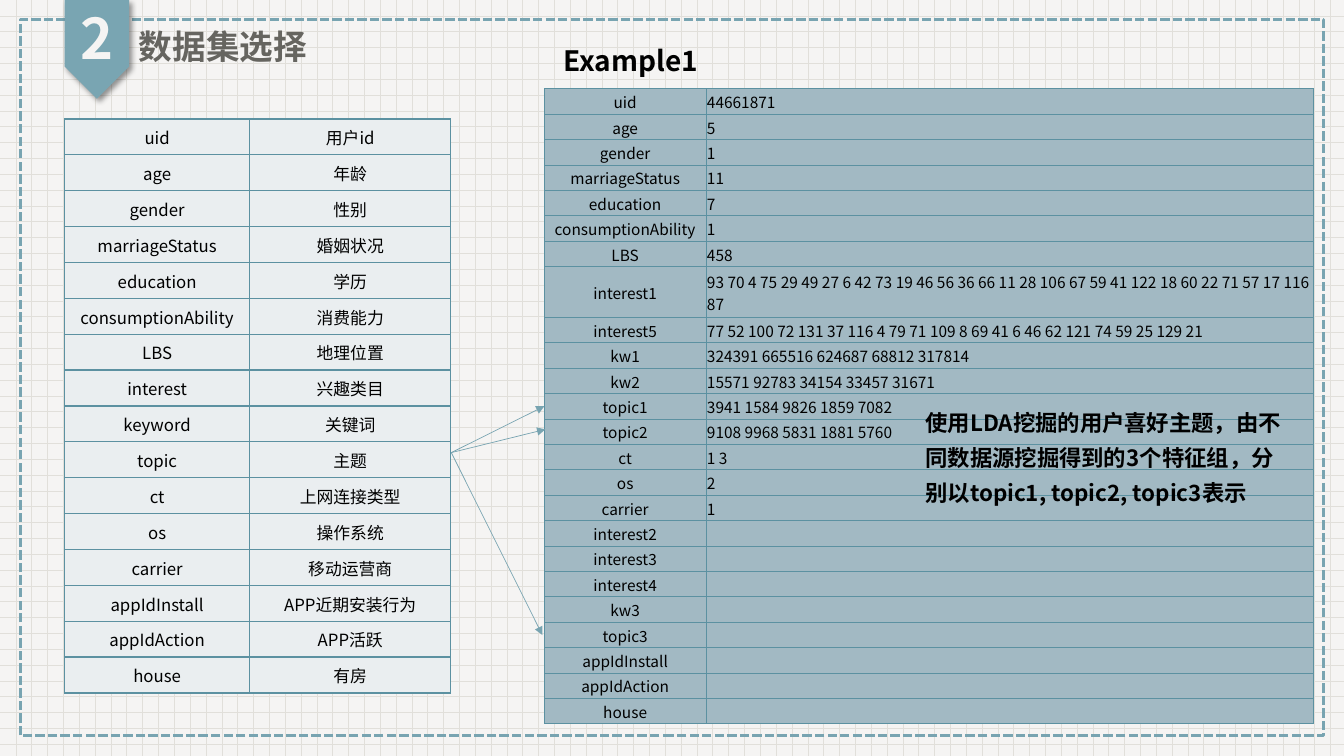
"""Build the slide that introduces the dataset fields and one example record."""
from dataclasses import dataclass
from typing import NamedTuple

from lxml.etree import SubElement
from pptx import Presentation
from pptx.dml.color import RGBColor
from pptx.enum.dml import MSO_LINE, MSO_PATTERN
from pptx.enum.shapes import MSO_CONNECTOR, MSO_SHAPE
from pptx.enum.text import MSO_ANCHOR, PP_ALIGN
from pptx.oxml.ns import qn
from pptx.shapes.autoshape import Shape
from pptx.slide import Slide
from pptx.util import Inches, Pt

SLIDE_WIDTH, SLIDE_HEIGHT = Inches(13.33), Inches(7.5)
CELL_MARGIN = Inches(0.01)


@dataclass(frozen=True)
class Theme:
    """Colours and type sizes of the slide."""
    font: str = "Noto Sans CJK SC"
    paper: str = "F5F4F3"
    grid: str = "E1DFDA"
    accent: str = "78A4B1"
    ribbon: str = "79A5B2"
    title: str = "666560"
    ink: str = "000000"
    rule: str = "5C91A1"
    field_fill: str = "EAEEF0"
    example_fill: str = "A2B9C3"
    number_size: float = 40
    title_size: float = 24
    heading_size: float = 20
    note_size: float = 16
    field_size: float = 12
    example_size: float = 11


THEME = Theme()


class Point(NamedTuple):
    """A place in percent of the slide's width and height."""
    x: float
    y: float

    def emu(self) -> tuple[int, int]:
        """Return the place in slide units."""
        return round(SLIDE_WIDTH * self.x / 100), round(SLIDE_HEIGHT * self.y / 100)


class Area(NamedTuple):
    """A rectangle in percent of the slide's width and height."""
    x: float
    y: float
    width: float
    height: float

    def emu(self) -> tuple[int, int, int, int]:
        """Return left, top, width and height in slide units."""
        return Point(self.x, self.y).emu() + Point(self.width, self.height).emu()


@dataclass(frozen=True)
class Label:
    """A text with its place and style."""
    text: str
    area: Area
    size: float
    color: str
    line_spacing: float
    space_before: float
    align: PP_ALIGN = PP_ALIGN.LEFT
    anchor: MSO_ANCHOR = MSO_ANCHOR.MIDDLE


@dataclass(frozen=True)
class Grid:
    """A two-column table with its place and style."""
    rows: list[tuple[str, str]]
    area: Area
    first_column_share: float
    fill: str
    size: float
    rule_width: float
    value_align: PP_ALIGN
    tall_row: str = ""
    tall_row_share: float = 0


FIELDS = [
    ("uid", "用户id"), ("age", "年龄"), ("gender", "性别"),
    ("marriageStatus", "婚姻状况"), ("education", "学历"),
    ("consumptionAbility", "消费能力"), ("LBS", "地理位置"),
    ("interest", "兴趣类目"), ("keyword", "关键词"), ("topic", "主题"),
    ("ct", "上网连接类型"), ("os", "操作系统"), ("carrier", "移动运营商"),
    ("appIdInstall", "APP近期安装行为"), ("appIdAction", "APP活跃"), ("house", "有房"),
]
EXAMPLE = [
    ("uid", "44661871"), ("age", "5"), ("gender", "1"), ("marriageStatus", "11"),
    ("education", "7"), ("consumptionAbility", "1"), ("LBS", "458"),
    ("interest1", "93 70 4 75 29 49 27 6 42 73 19 46 56 36 66 11 28 106 67 59 41 "
                  "122 18 60 22 71 57 17 116 87"),
    ("interest5", "77 52 100 72 131 37 116 4 79 71 109 8 69 41 6 46 62 121 74 59 25 129 21"),
    ("kw1", "324391 665516 624687 68812 317814"),
    ("kw2", "15571 92783 34154 33457 31671"),
    ("topic1", "3941 1584 9826 1859 7082"), ("topic2", "9108 9968 5831 1881 5760"),
    ("ct", "1 3"), ("os", "2"), ("carrier", "1"),
    *((field, "") for field in ("interest2", "interest3", "interest4", "kw3", "topic3",
                                "appIdInstall", "appIdAction", "house")),
]
GRIDS = [
    Grid(FIELDS, Area(4.8, 15.73, 28.73, 76), 0.48, THEME.field_fill,
         THEME.field_size, 1, PP_ALIGN.CENTER),
    Grid(EXAMPLE, Area(40.51, 11.73, 57.24, 84), 0.21, THEME.example_fill,
         THEME.example_size, 0.5, PP_ALIGN.LEFT, "interest1", 0.08),
]
HEADER = [
    Label("2", Area(4.8, 0, 4.8, 10.93), THEME.number_size, THEME.paper, 0.9, 10,
          PP_ALIGN.CENTER),
    Label("数据集选择", Area(9.6, 3.07, 34.5, 6.8), THEME.title_size, THEME.title, 0.9, 10),
]
NOTES = [
    Label("Example1", Area(41.19, 3.73, 15.6, 6.67), THEME.heading_size, THEME.ink, 1.3, 6,
          anchor=MSO_ANCHOR.TOP),
    Label("使用LDA挖掘的用户喜好主题，由不同数据源挖掘得到的3个特征组，"
          "分别以topic1, topic2, topic3表示",
          Area(68.12, 52.4, 28.88, 15.33), THEME.note_size, THEME.ink, 1.3, 6,
          anchor=MSO_ANCHOR.TOP),
]
TOPIC_FIELD = Point(33.58, 59.87)
TOPIC_ROWS = [Point(40.51, 53.73), Point(40.58, 56.8), Point(40.36, 84)]


def rgb(color: str) -> RGBColor:
    """Turn a hex code into a colour."""
    return RGBColor.from_string(color)


def style_paragraph(paragraph, size: float, color: str, bold: bool, align: PP_ALIGN) -> None:
    """Set the font and alignment of a paragraph."""
    paragraph.alignment = align
    font = paragraph.font
    font.name, font.size, font.bold = THEME.font, Pt(size), bold
    font.color.rgb = rgb(color)
    defaults = paragraph._p.get_or_add_pPr().find(qn("a:defRPr"))
    SubElement(defaults, qn("a:ea"), typeface=THEME.font)
    if not paragraph.text:
        SubElement(paragraph._p, qn("a:endParaRPr"), sz=str(round(size * 100)))


def draw_label(slide: Slide, label: Label) -> None:
    """Draw a bold text."""
    frame = slide.shapes.add_textbox(*label.area.emu()).text_frame
    frame.word_wrap = True
    frame.vertical_anchor = label.anchor
    frame.text = label.text
    paragraph = frame.paragraphs[0]
    paragraph.line_spacing = label.line_spacing
    paragraph.space_before = Pt(label.space_before)
    style_paragraph(paragraph, label.size, label.color, True, label.align)


def draw_cell(cell, text: str, grid: Grid, align: PP_ALIGN) -> None:
    """Fill one table cell and rule its four sides."""
    cell.text = text
    cell.vertical_anchor = MSO_ANCHOR.MIDDLE
    cell.margin_left = cell.margin_right = cell.margin_top = CELL_MARGIN
    cell.margin_bottom = 0
    style_paragraph(cell.text_frame.paragraphs[0], grid.size, THEME.ink, False, align)
    properties = cell._tc.get_or_add_tcPr()
    for side in ("a:lnL", "a:lnR", "a:lnT", "a:lnB"):
        line = SubElement(properties, qn(side), w=str(Pt(grid.rule_width)))
        SubElement(SubElement(line, qn("a:solidFill")), qn("a:srgbClr"), val=THEME.rule)
    cell.fill.solid()
    cell.fill.fore_color.rgb = rgb(grid.fill)


def draw_grid(slide: Slide, grid: Grid) -> None:
    """Draw a two-column table."""
    _, _, width, height = grid.area.emu()
    table = slide.shapes.add_table(len(grid.rows), 2, *grid.area.emu()).table
    table.first_row = table.horz_banding = False
    table.columns[0].width = round(width * grid.first_column_share)
    table.columns[1].width = width - table.columns[0].width
    plain_rows = len(grid.rows) - bool(grid.tall_row)
    plain_share = (1 - grid.tall_row_share) / plain_rows
    for index, (field, value) in enumerate(grid.rows):
        share = grid.tall_row_share if field == grid.tall_row else plain_share
        table.rows[index].height = round(height * share)
        draw_cell(table.cell(index, 0), field, grid, PP_ALIGN.CENTER)
        draw_cell(table.cell(index, 1), value, grid, grid.value_align)


def draw_arrow(slide: Slide, start: Point, end: Point) -> None:
    """Draw a thin arrow."""
    arrow = slide.shapes.add_connector(MSO_CONNECTOR.STRAIGHT, *start.emu(), *end.emu())
    arrow.line.color.rgb = rgb(THEME.accent)
    arrow.line.width = Pt(0.5)
    SubElement(arrow.line._get_or_add_ln(), qn("a:tailEnd"), type="triangle")
    SubElement(arrow._element.spPr, qn("a:effectLst"))


def draw_shape(slide: Slide, preset: MSO_SHAPE, area: Area) -> Shape:
    """Add a preset shape without a shadow."""
    shape = slide.shapes.add_shape(preset, *area.emu())
    shape.shadow.inherit = False
    return shape


def draw_backdrop(slide: Slide) -> None:
    """Draw the squared paper, the dashed frame and the number's ribbon."""
    paper = slide.background.fill
    paper.patterned()
    paper.pattern = MSO_PATTERN.DOTTED_GRID
    paper.fore_color.rgb, paper.back_color.rgb = rgb(THEME.grid), rgb(THEME.paper)

    frame = draw_shape(slide, MSO_SHAPE.RECTANGLE, Area(1.5, 2.53, 97, 94.8))
    frame.fill.background()
    frame.line.color.rgb = rgb(THEME.accent)
    frame.line.width, frame.line.dash_style = Pt(2.25), MSO_LINE.SQUARE_DOT

    ribbon = draw_shape(slide, MSO_SHAPE.PENTAGON, Area(3.53, 2.27, 7.35, 8.53))
    ribbon.rotation = 90
    ribbon.fill.solid()
    ribbon.fill.fore_color.rgb = rgb(THEME.ribbon)
    ribbon.line.fill.background()
    effects = ribbon._element.spPr.find(qn("a:effectLst"))
    shadow = SubElement(effects, qn("a:outerShdw"), blurRad=str(Pt(4)), dist=str(Pt(3)),
                        dir="2700000", algn="tl", rotWithShape="0")
    tint = SubElement(shadow, qn("a:srgbClr"), val=THEME.ink)
    SubElement(tint, qn("a:alpha"), val="40000")


def main() -> None:
    """Build and save the slide."""
    deck = Presentation()
    deck.slide_width, deck.slide_height = SLIDE_WIDTH, SLIDE_HEIGHT
    slide = deck.slides.add_slide(deck.slide_layouts[6])
    draw_backdrop(slide)
    for label in HEADER:
        draw_label(slide, label)
    for grid in GRIDS:
        draw_grid(slide, grid)
    for label in NOTES:
        draw_label(slide, label)
    for topic_row in TOPIC_ROWS:
        draw_arrow(slide, TOPIC_FIELD, topic_row)
    deck.save("out.pptx")


if __name__ == "__main__":
    main()
